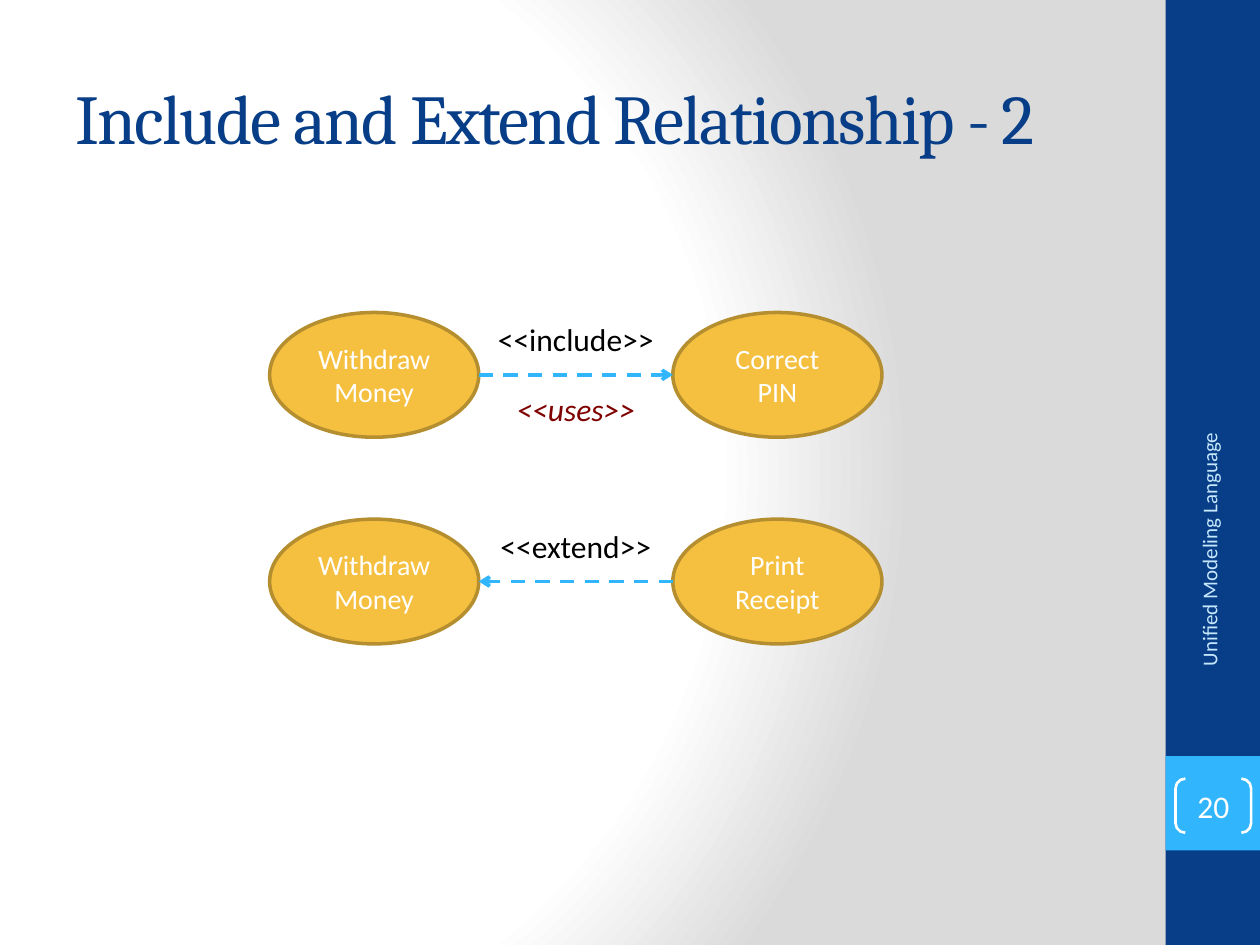
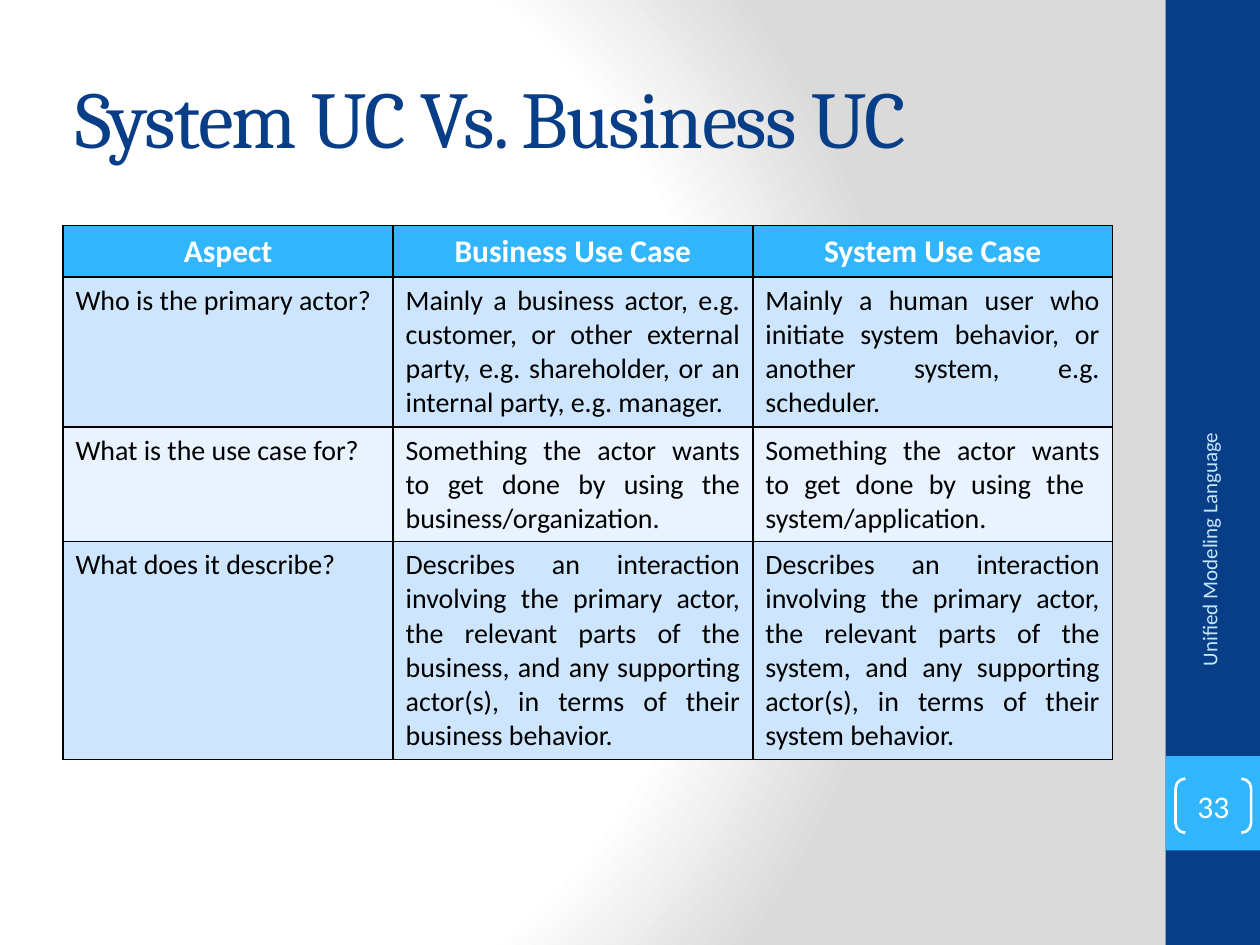
"""Build two slides on use cases: relationships, and system versus business."""
from dataclasses import dataclass

from lxml import etree
from pptx import Presentation
from pptx import util as u
from pptx.dml.color import RGBColor
from pptx.enum import dml, shapes, text
from pptx.oxml import ns, parse_xml

NAVY = RGBColor(0x07, 0x3E, 0x87)
SKY = RGBColor(0x31, 0xB6, 0xFD)
PALE_BLUE = RGBColor(0xC6, 0xE7, 0xFC)
GOLD = RGBColor(0xF5, 0xC0, 0x40)
DARK_GOLD = RGBColor(0xB5, 0x8E, 0x2F)
MAROON = RGBColor(0x80, 0x00, 0x00)
WHITE = RGBColor(0xFF, 0xFF, 0xFF)
BLACK = RGBColor(0x00, 0x00, 0x00)
SILVER = RGBColor(0xDA, 0xDA, 0xDA)
ROW_FILLS = (RGBColor(0xCE, 0xE5, 0xFE), RGBColor(0xE8, 0xF3, 0xFF))

WIDTH, HEIGHT = u.Inches(10), u.Inches(7.5)
COLUMNS, ROWS = 100, 75
HEADING_FONT, BODY_FONT = "Cambria", "Calibri"
LEFT, CENTER, RIGHT, JUSTIFY = (
    text.PP_ALIGN.LEFT, text.PP_ALIGN.CENTER, text.PP_ALIGN.RIGHT, text.PP_ALIGN.JUSTIFY)
MIDDLE, TOP = text.MSO_ANCHOR.MIDDLE, text.MSO_ANCHOR.TOP


def across(columns: float) -> int:
    return u.Emu(round(WIDTH * columns / COLUMNS))


def down(rows: float) -> int:
    return u.Emu(round(HEIGHT * rows / ROWS))


@dataclass(frozen=True)
class Box:
    left: float
    top: float
    width: float
    height: float

    def lengths(self) -> tuple:
        return across(self.left), down(self.top), across(self.width), down(self.height)


@dataclass(frozen=True)
class Style:
    size: float
    color: RGBColor
    align: text.PP_ALIGN = LEFT
    font: str = BODY_FONT
    bold: bool = False
    italic: bool = False
    spacing: int = 0


@dataclass(frozen=True)
class Relationship:
    top: float
    source: str
    target: str
    label: str
    reverse: bool = False


SIDEBAR = Box(92.5, 0, 7.5, 75)
NUMBER_BAND = Box(92.5, 60, 7.5, 7.5)
NUMBER = Box(93.3, 61.8, 6, 4.3)
TITLE = Box(5, 3, 83.3, 12.5)
FOOTER = Box(83, 44.3, 25.9, 4)

OVAL_LEFT, OVAL_WIDTH, OVAL_HEIGHT = 21.4, 16.6, 9.9
LINK_LEFT, LINK_WIDTH = OVAL_LEFT + OVAL_WIDTH, 15.4
LINK_RIGHT = LINK_LEFT + LINK_WIDTH

OVAL_STYLE = Style(16, WHITE, CENTER)
LABEL_STYLE = Style(18, BLACK, CENTER)
USES_STYLE = Style(18, MAROON, CENTER, italic=True)
FOOTER_STYLE = Style(12, PALE_BLUE, RIGHT)
NUMBER_STYLE = Style(18, WHITE, CENTER)
HEADER_STYLE = Style(18, WHITE, CENTER, bold=True)
ASPECT_STYLE = Style(16, BLACK)
ANSWER_STYLE = Style(16, BLACK, JUSTIFY)

RELATIONSHIPS = (
    Relationship(24.8, "Withdraw Money", "Correct PIN", "<<include>>"),
    Relationship(41.2, "Withdraw Money", "Print Receipt", "<<extend>>", reverse=True),
)

TABLE_LEFT, TABLE_TOP = 5, 17.9
TABLE_WIDTHS = (26.2, 28.55, 28.55)
TABLE_HEIGHTS = (4.1, 11.9, 9.1, 17.3)
COMPARISON = (
    ("Aspect", "Business Use Case", "System Use Case"),
    ("Who is the primary actor?",
     "Mainly a business actor, e.g. customer, or other external party, "
     "e.g. shareholder, or an internal party, e.g. manager.",
     "Mainly a human user who initiate system behavior, or another system, e.g. scheduler."),
    ("What is the use case for?",
     "Something the actor wants to get done by using the business/organization.",
     "Something the actor wants to get done by using the  system/application."),
    ("What does it describe?",
     "Describes an interaction involving the primary actor, the relevant parts of the "
     "business, and any supporting actor(s), in terms of their business behavior.",
     "Describes an interaction involving the primary actor, the relevant parts of the "
     "system, and any supporting actor(s), in terms of their system behavior."),
)


def write(frame, words: str, style: Style) -> None:
    frame.word_wrap = True
    paragraph = frame.paragraphs[0]
    paragraph.alignment = style.align
    run = paragraph.add_run()
    run.text = words
    font = run.font
    font.name, font.size = style.font, u.Pt(style.size)
    font.bold, font.italic = style.bold, style.italic
    font.color.rgb = style.color
    if style.spacing:
        run._r.get_or_add_rPr().set("spc", str(style.spacing))


def add_words(parent, box: Box, words: str, style: Style, anchor=TOP):
    shape = parent.add_textbox(*box.lengths())
    shape.text_frame.vertical_anchor = anchor
    write(shape.text_frame, words, style)
    return shape


def add_figure(parent, kind, box: Box, fill: RGBColor | None,
               line: RGBColor | None = None, weight: float = 0):
    shape = parent.add_shape(kind, *box.lengths())
    shape.shadow.inherit = False
    if fill is None:
        shape.fill.background()
    else:
        shape.fill.solid()
        shape.fill.fore_color.rgb = fill
    if line is None:
        shape.line.fill.background()
    else:
        shape.line.color.rgb = line
        shape.line.width = u.Pt(weight)
    shape.text_frame.vertical_anchor = MIDDLE
    return shape


def paint_background(slide) -> None:
    stops = "".join(
        f'<a:gs pos="{share * 1000}"><a:srgbClr val="{color}"/></a:gs>'
        for share, color in ((0, WHITE), (75, WHITE), (100, SILVER)))
    background = parse_xml(
        f'<p:bg {ns.nsdecls("p", "a")}><p:bgPr><a:gradFill rotWithShape="1">'
        f'<a:gsLst>{stops}</a:gsLst><a:path path="circle">'
        '<a:fillToRect l="20000" t="50000" r="100000" b="50000"/></a:path>'
        '</a:gradFill><a:effectLst/></p:bgPr></p:bg>')
    slide._element.cSld.insert(0, background)


def add_base_slide(presentation, title: str, title_size: float, number: int):
    slide = presentation.slides.add_slide(presentation.slide_layouts[6])
    paint_background(slide)
    for box, color in ((SIDEBAR, NAVY), (NUMBER_BAND, SKY)):
        add_figure(slide.shapes, shapes.MSO_SHAPE.RECTANGLE, box, color)
    title_style = Style(title_size, NAVY, font=HEADING_FONT, spacing=-100)
    add_words(slide.shapes, TITLE, title, title_style, MIDDLE)
    footer = add_words(slide.shapes, FOOTER, "Unified Modeling Language", FOOTER_STYLE, MIDDLE)
    footer.rotation = 270
    bracket = add_figure(slide.shapes, shapes.MSO_SHAPE.DOUBLE_BRACKET, NUMBER, None, WHITE, 1.5)
    bracket.adjustments[0] = 0.18
    frame = bracket.text_frame
    frame.margin_left = frame.margin_right = frame.margin_top = frame.margin_bottom = 0
    write(frame, str(number), NUMBER_STYLE)
    return slide


def add_dashed_arrow(parent, start: float, end: float, row: float) -> None:
    arrow = parent.add_connector(
        shapes.MSO_CONNECTOR.STRAIGHT, across(start), down(row), across(end), down(row))
    arrow.line.color.rgb = SKY
    arrow.line.width = u.Pt(2)
    arrow.line.dash_style = dml.MSO_LINE.DASH
    etree.SubElement(arrow.line._get_or_add_ln(), ns.qn("a:tailEnd"), type="arrow")
    etree.SubElement(arrow._element.spPr, ns.qn("a:effectLst"))


def add_relationship(slide, relationship: Relationship) -> None:
    group = slide.shapes.add_group_shape().shapes
    for left, words in ((OVAL_LEFT, relationship.source), (LINK_RIGHT, relationship.target)):
        box = Box(left, relationship.top, OVAL_WIDTH, OVAL_HEIGHT)
        oval = add_figure(group, shapes.MSO_SHAPE.OVAL, box, GOLD, DARK_GOLD, 2)
        write(oval.text_frame, words, OVAL_STYLE)
    ends = (LINK_RIGHT, LINK_LEFT) if relationship.reverse else (LINK_LEFT, LINK_RIGHT)
    add_dashed_arrow(group, *ends, relationship.top + OVAL_HEIGHT / 2)
    label_box = Box(LINK_LEFT, relationship.top + 0.1, LINK_WIDTH, 4)
    add_words(group, label_box, relationship.label, LABEL_STYLE)


def add_borders(cell) -> None:
    properties = cell._tc.get_or_add_tcPr()
    for side in ("lnL", "lnR", "lnT", "lnB"):
        border = etree.SubElement(properties, ns.qn(f"a:{side}"), w=str(u.Pt(1)))
        fill = etree.SubElement(border, ns.qn("a:solidFill"))
        etree.SubElement(fill, ns.qn("a:srgbClr"), val=str(BLACK))


def add_comparison(slide) -> None:
    box = Box(TABLE_LEFT, TABLE_TOP, sum(TABLE_WIDTHS), sum(TABLE_HEIGHTS))
    table = slide.shapes.add_table(
        len(TABLE_HEIGHTS), len(TABLE_WIDTHS), *box.lengths()).table
    table.horz_banding = False
    for column, width in zip(table.columns, TABLE_WIDTHS):
        column.width = across(width)
    for row_index, (row, height) in enumerate(zip(table.rows, TABLE_HEIGHTS)):
        row.height = down(height)
        is_header = row_index == 0
        for column_index, cell in enumerate(row.cells):
            add_borders(cell)
            cell.fill.solid()
            cell.fill.fore_color.rgb = SKY if is_header else ROW_FILLS[(row_index - 1) % 2]
            cell.vertical_anchor = MIDDLE if is_header else TOP
            body_style = ANSWER_STYLE if column_index else ASPECT_STYLE
            write(cell.text_frame, COMPARISON[row_index][column_index],
                  HEADER_STYLE if is_header else body_style)


def main() -> None:
    presentation = Presentation()
    presentation.slide_width, presentation.slide_height = WIDTH, HEIGHT

    slide = add_base_slide(presentation, "Include and Extend Relationship - 2", 40, 20)
    for relationship in RELATIONSHIPS:
        add_relationship(slide, relationship)
    add_words(slide.shapes, Box(LINK_LEFT, 30.5, LINK_WIDTH, 4), "<<uses>>", USES_STYLE)

    slide = add_base_slide(presentation, "System UC Vs. Business UC", 46, 33)
    add_comparison(slide)

    presentation.save("out.pptx")


if __name__ == "__main__":
    main()
